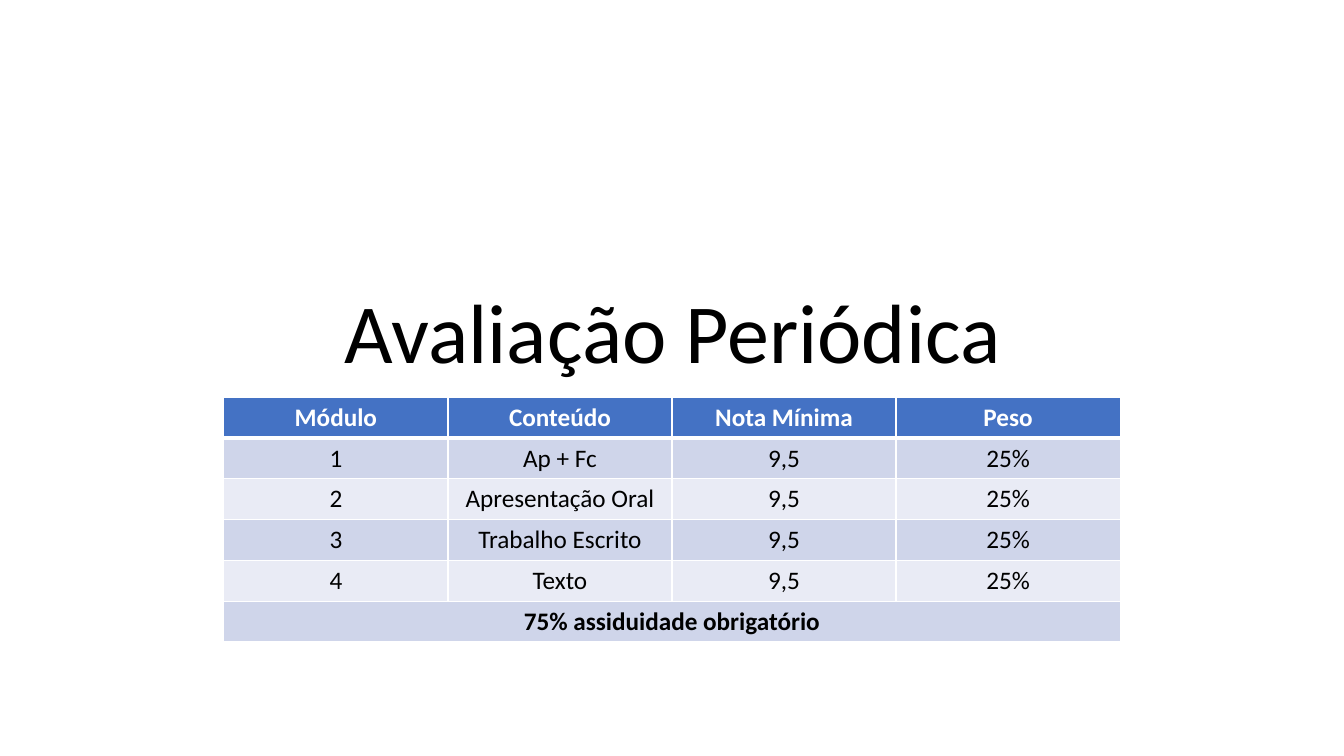
from dataclasses import dataclass

from lxml import etree
from pptx import Presentation
from pptx.dml.color import RGBColor
from pptx.enum.text import MSO_ANCHOR, PP_ALIGN
from pptx.oxml.ns import qn
from pptx.util import Inches, Pt

CENTER = PP_ALIGN.CENTER
BOTTOM = MSO_ANCHOR.BOTTOM
FONT = "Calibri"
COLORS = {
    "text": "000000",
    "white": "FFFFFF",
    "header": "4472C4",
    "odd": "CFD5EA",
    "even": "E9EBF5",
}
COLUMNS = 4
TABLE_WIDTH, TABLE_HEIGHT = 8.89, 2.43
THIN, THICK = 1, 3


@dataclass
class TableRow:
    texts: tuple[str, ...]
    fill: str
    color: str = "text"
    bold: bool = False
    top: int = THIN
    bottom: int = THIN


def format_text(frame, size: float, color: str, bold: bool = False) -> None:
    paragraph = frame.paragraphs[0]
    paragraph.alignment = CENTER
    for run in paragraph.runs:
        run.font.name = FONT
        run.font.size = Pt(size)
        run.font.bold = bold
        run.font.color.rgb = RGBColor.from_string(COLORS[color])


def add_borders(cell, top: int, bottom: int) -> None:
    properties = cell._tc.get_or_add_tcPr()
    widths = {"a:lnL": THIN, "a:lnR": THIN, "a:lnT": top, "a:lnB": bottom}
    for side, width in widths.items():
        line = etree.SubElement(properties, qn(side), w=str(Pt(width)))
        solid = etree.SubElement(line, qn("a:solidFill"))
        etree.SubElement(solid, qn("a:srgbClr"), val=COLORS["white"])


def fill_row(table, index: int, row: TableRow) -> None:
    for column in range(COLUMNS):
        cell = table.cell(index, column)
        add_borders(cell, row.top, row.bottom)
        cell.fill.solid()
        cell.fill.fore_color.rgb = RGBColor.from_string(COLORS[row.fill])
    for column, text in enumerate(row.texts):
        frame = table.cell(index, column).text_frame
        frame.text = text
        format_text(frame, 18, row.color, row.bold)
    if len(row.texts) == 1:
        table.cell(index, 0).merge(table.cell(index, COLUMNS - 1))


def main() -> None:
    presentation = Presentation()
    presentation.slide_width = Inches(13.33)
    presentation.slide_height = Inches(7.5)
    slide = presentation.slides.add_slide(presentation.slide_layouts[6])

    # Title
    title = slide.shapes.add_textbox(
        Inches(1.67), Inches(1.23), Inches(10), Inches(2.61)
    ).text_frame
    title.word_wrap = True
    title.vertical_anchor = BOTTOM
    title.text = "Avaliação Periódica"
    title.paragraphs[0].line_spacing = 0.9
    format_text(title, 60, "text")

    # Assessment modules, all with the same minimum grade and weight
    contents = ("Ap + Fc", "Apresentação Oral", "Trabalho Escrito", "Texto")
    rows = [
        TableRow(("Módulo", "Conteúdo", "Nota Mínima", "Peso"),
                 "header", "white", bold=True, bottom=THICK)
    ]
    for number, content in enumerate(contents, start=1):
        rows.append(TableRow((str(number), content, "9,5", "25%"),
                             "odd" if number % 2 else "even",
                             top=THICK if number == 1 else THIN))
    rows.append(TableRow(("75% assiduidade obrigatório",), "odd", bold=True))

    # Table
    assessment = slide.shapes.add_table(
        len(rows), COLUMNS, Inches(2.22), Inches(3.94),
        Inches(TABLE_WIDTH), Inches(TABLE_HEIGHT)
    ).table
    for index, row in enumerate(rows):
        fill_row(assessment, index, row)

    presentation.save("out.pptx")


if __name__ == "__main__":
    main()
